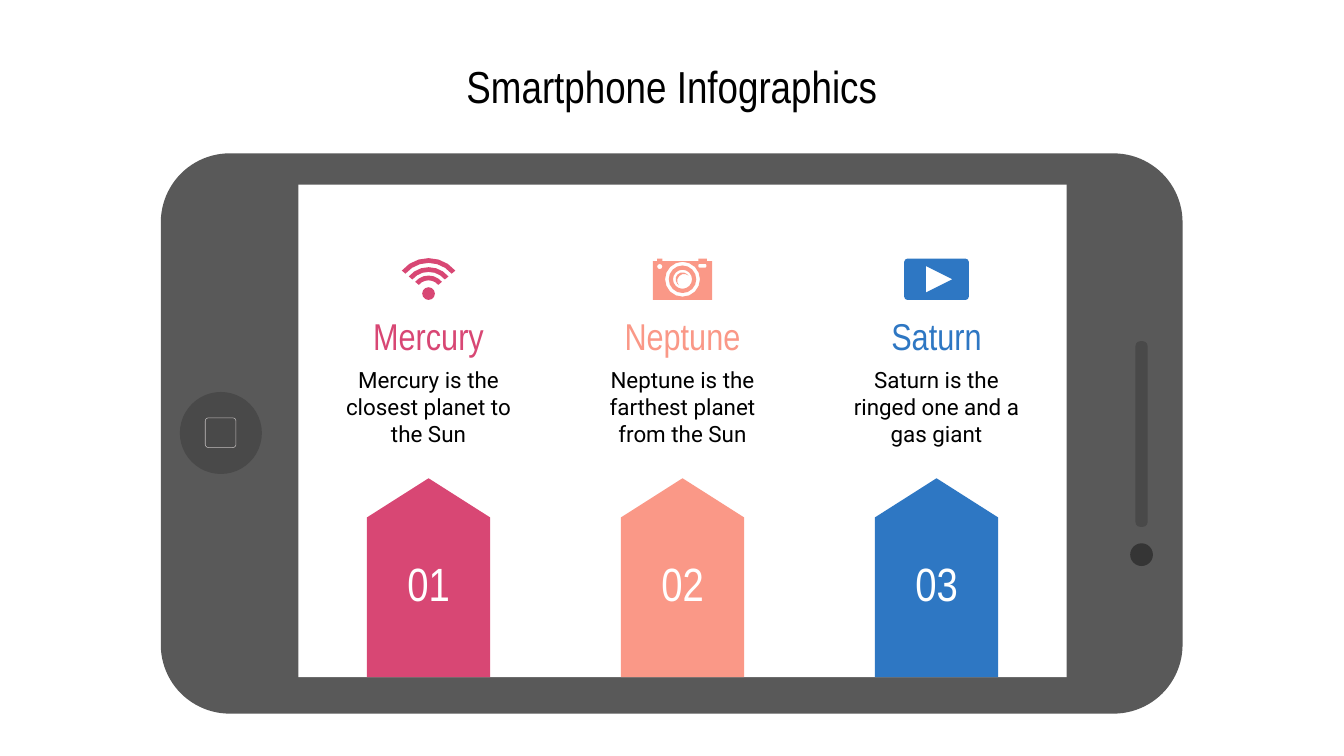
from dataclasses import dataclass
from math import cos, radians, sin

from pptx import Presentation
from pptx import util as u
from pptx.dml.color import RGBColor
from pptx.enum import shapes, text

Cm = u.Cm
GEO = shapes.MSO_SHAPE


@dataclass(frozen=True)
class Theme:
    ink: str = "000000"
    white: str = "FFFFFF"
    case: str = "595959"
    button: str = "494949"
    lens: str = "353535"
    outline: str = "C1BDBD"
    pink: str = "D84774"
    salmon: str = "FA9887"
    blue: str = "2E77C3"
    head: str = "Arial Narrow"
    body: str = "Roboto"
    title_size: float = 24
    number_size: float = 25
    label_size: float = 20
    body_size: float = 12


T = Theme()


# Shared helpers; all lengths are in centimetres
def paint(sp, fill=None, line=None):
    sp.shadow.inherit = False
    if fill:
        sp.fill.solid()
        sp.fill.fore_color.rgb = RGBColor.from_string(fill)
    else:
        sp.fill.background()
    if line:
        sp.line.color.rgb = RGBColor.from_string(line)
        sp.line.width = u.Pt(0.28)
    else:
        sp.line.fill.background()


def block(s, kind, x, y, w, h, fill=None, line=None, adj=None):
    sp = s.shapes.add_shape(kind, Cm(x), Cm(y), Cm(w), Cm(h))
    if adj is not None:
        sp.adjustments[0] = adj
    paint(sp, fill, line)
    return sp


def write(tf, words, font, size, color, inset=0.0):
    frame = {"word_wrap": True, "vertical_anchor": text.MSO_ANCHOR.MIDDLE,
             "auto_size": text.MSO_AUTO_SIZE.NONE}
    frame |= {f"margin_{side}": Cm(inset)
              for side in ("left", "top", "right", "bottom")}
    for name, value in frame.items():
        setattr(tf, name, value)
    p = tf.paragraphs[0]
    p.alignment = text.PP_ALIGN.CENTER
    r = p.add_run()
    r.text = words
    for name, value in {"name": font, "size": u.Pt(size), "bold": False}.items():
        setattr(r.font, name, value)
    r.font.color.rgb = RGBColor.from_string(color)


def label(s, x, y, w, h, *style):
    sp = s.shapes.add_textbox(Cm(x), Cm(y), Cm(w), Cm(h))
    write(sp.text_frame, *style)


# Icon outlines: lists of points, where inner contours cut holes
def arc(cx, cy, r, start=0, end=360, steps=6):
    angles = [radians(start + (end - start) * i / steps) for i in range(steps + 1)]
    return [(cx + r * cos(a), cy + r * sin(a)) for a in angles]


def ring(cx, cy, r, steps=16):
    return arc(cx, cy, r, steps=steps)[:-1]


def rounded(x, y, w, h, r):
    corners = ((x + w - r, y + h - r), (x + r, y + h - r),
               (x + r, y + r), (x + w - r, y + r))
    return [pt for i, (cx, cy) in enumerate(corners)
            for pt in arc(cx, cy, r, 90 * i, 90 * i + 90, 2)]


def silhouette(s, contours, fill):
    contours = [[(Cm(x), Cm(y)) for x, y in c] for c in contours]
    fb = s.shapes.build_freeform(*contours[0][0])
    for i, points in enumerate(contours):
        if i:
            fb.move_to(*points[0])
        fb.add_line_segments(points[1:], close=True)
    paint(fb.convert_to_shape(), fill)


# Each icon is placed around its centre
def wifi_icon(s, cx, cy, fill):
    hub = cy + 0.26
    block(s, GEO.OVAL, cx - 0.12, cy + 0.15, 0.24, 0.24, fill)
    for r in (0.33, 0.49, 0.66):
        band = arc(cx, hub, r, 220, 320) + arc(cx, hub, r - 0.09, 320, 220)
        silhouette(s, [band], fill)


def camera_icon(s, cx, cy, fill):
    x, y, w, h = cx - 0.56, cy - 0.34, 1.12, 0.73
    top = y - 0.05
    body = [(x, y), (x + 0.08, y), (x + 0.08, top), (x + 0.18, top),
            (x + 0.18, y), (x + 0.86, y), (x + 0.86, top), (x + 1.02, top),
            (x + 1.02, y), (x + w, y), (x + w, y + h), (x, y + h)]
    glint = arc(cx, cy, 0.13, 140, 310) + arc(cx + 0.03, cy + 0.03, 0.13, 310, 140)
    rings = [ring(cx, cy, r) for r in (0.33, 0.26, 0.18)]
    holes = [ring(x + 0.13, y + 0.1, 0.05, 8),
             rounded(x + 0.86, y + 0.05, 0.15, 0.07, 0.02)]
    silhouette(s, [body, *holes, *rings, glint], fill)


def play_icon(s, cx, cy, fill):
    triangle = [(cx - 0.2, cy - 0.25), (cx + 0.3, cy), (cx - 0.2, cy + 0.25)]
    silhouette(s, [rounded(cx - 0.61, cy - 0.39, 1.22, 0.78, 0.06), triangle], fill)


# Slide regions
def title(s, x, y, w, h):
    sp = s.shapes.title
    for name, value in zip(("left", "top", "width", "height"), (x, y, w, h)):
        setattr(sp, name, Cm(value))
    write(sp.text_frame, "Smartphone Infographics", T.head, T.title_size, T.ink, 0.25)


def phone(s, x, y, w, h):
    block(s, GEO.ROUNDED_RECTANGLE, x, y, w, h, T.case, adj=0.123)
    # Speaker and lens on the right
    block(s, GEO.ROUNDED_RECTANGLE, x + w - 0.89, y + 3.55, 0.23, 3.51, T.button, adj=0.4)
    block(s, GEO.OVAL, x + w - 0.99, y + 7.37, 0.43, 0.43, T.lens)
    # Home button on the left
    block(s, GEO.OVAL, x + 0.36, y + 4.51, 1.55, 1.55, T.button)
    block(s, GEO.ROUNDED_RECTANGLE, x + 0.84, y + 5, 0.58, 0.56, line=T.outline, adj=0.1)
    # Screen
    screen = (x + 2.6, y + 0.59, 14.52, 9.31)
    block(s, GEO.RECTANGLE, *screen, T.white)
    return screen


def column(s, x, y, w, h, number, name, words, color, icon):
    cx = x + w / 2
    icon(s, cx, y + 1.79, color)
    label(s, x, y + 2.53, w, 0.64, name, T.head, T.label_size, color)
    label(s, x, y + 3.63, w, 1.12, words, T.body, T.body_size, T.ink)
    # Upward arrow standing on the foot of the screen
    length, across = 3.76, 2.33
    arrow = block(s, GEO.PENTAGON, cx - length / 2, y + h - (length + across) / 2,
                  length, across, color, adj=0.318)
    arrow.rotation = 270
    label(s, cx - across / 2, y + 7.2, across, 0.64,
          number, T.head, T.number_size, T.white)


def columns(s, x, y, w, h):
    planets = (
        ("Mercury", "Mercury is the closest planet to the Sun", T.pink, wifi_icon),
        ("Neptune", "Neptune is the farthest planet from the Sun", T.salmon, camera_icon),
        ("Saturn", "Saturn is the ringed one and a gas giant", T.blue, play_icon),
    )
    width, pitch = 3.15, 4.8
    left = x + (w - width) / 2 - pitch
    for i, planet in enumerate(planets):
        column(s, left + i * pitch, y, width, h, f"{i + 1:02}", *planet)


def main():
    prs = Presentation()
    prs.slide_width, prs.slide_height = Cm(25.4), Cm(14.29)
    s = prs.slides.add_slide(prs.slide_layouts[5])
    title(s, 5.9, 1.08, 13.59, 1.07)
    screen = phone(s, 3.04, 2.9, 19.31, 10.59)
    columns(s, *screen)
    prs.save("out.pptx")


if __name__ == "__main__":
    main()
